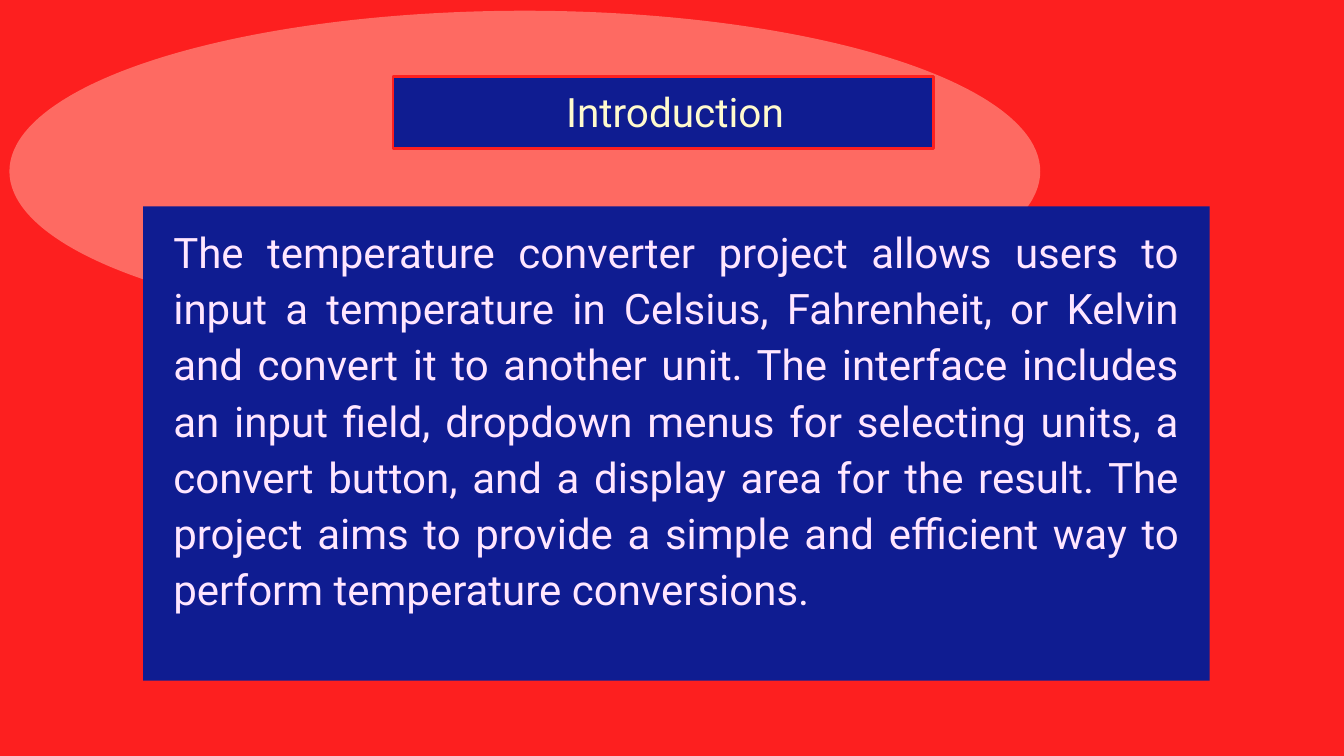
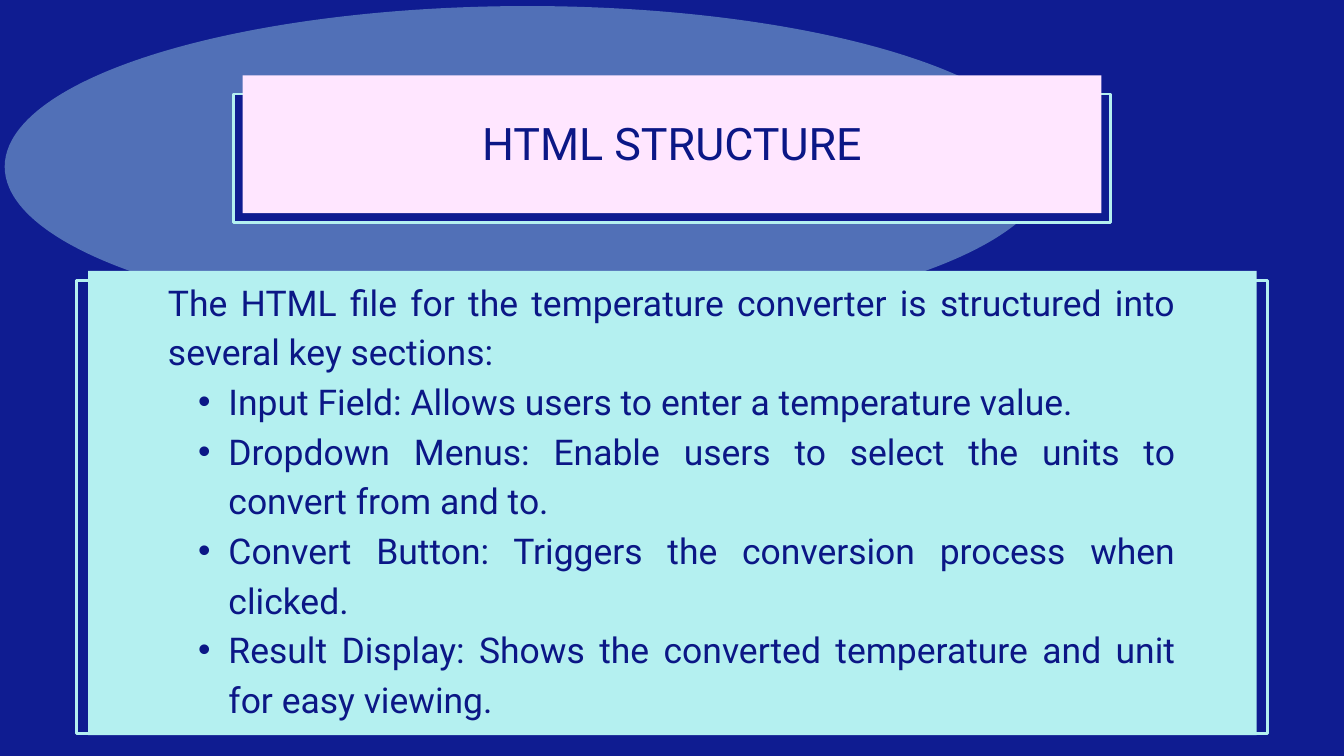
"""Build two slides that introduce a temperature converter and its HTML structure."""
from pptx import Presentation
from pptx.dml.color import RGBColor
from pptx.enum.shapes import MSO_SHAPE
from pptx.enum.text import PP_ALIGN
from pptx.oxml.ns import qn
from pptx.oxml.xmlchemy import OxmlElement
from pptx.util import Emu, Pt

RED = RGBColor(0xFD, 0x1F, 0x1F)
CORAL = RGBColor(0xFF, 0x87, 0x7D)
NAVY = RGBColor(0x0F, 0x1C, 0x91)
INK = RGBColor(0x0B, 0x17, 0x86)
AQUA = RGBColor(0xB4, 0xF0, 0xF0)
PINK = RGBColor(0xFF, 0xE6, 0xFF)
CREAM = RGBColor(0xFF, 0xFA, 0xCD)
FONT = "Roboto"
PX = 9144
BORDER = 4
INDENT = 45


def px(n):
    return Emu(n * PX)


class Deck:
    def __init__(self, width, height):
        self.prs = Presentation()
        self.prs.slide_width, self.prs.slide_height = px(width), px(height)
        self.s = None

    def slide(self, color):
        self.s = self.prs.slides.add_slide(self.prs.slide_layouts[6])
        fill = self.s.background.fill
        fill.solid()
        fill.fore_color.rgb = color

    def shape(self, x, y, w, h, fill, line=None, kind=MSO_SHAPE.RECTANGLE):
        sp = self.s.shapes.add_shape(kind, px(x), px(y), px(w), px(h))
        sp.shadow.inherit = False
        sp.fill.solid()
        sp.fill.fore_color.rgb = fill
        if line is None:
            sp.line.fill.background()
        else:
            sp.line.color.rgb = line
            sp.line.width = px(BORDER)
        return sp

    def ellipse(self, x, y, w, h, fill, opacity):
        sp = self.shape(x, y, w, h, fill, kind=MSO_SHAPE.OVAL)
        alpha = OxmlElement("a:alpha")
        alpha.set("val", str(opacity * 1000))
        sp._element.spPr.find(qn("a:solidFill"))[0].append(alpha)

    def bullet(self, p):
        pPr = p._p.get_or_add_pPr()
        pPr.set("marL", str(px(2 * INDENT)))
        pPr.set("indent", str(px(-INDENT)))
        for tag, name, value in (("a:buFont", "typeface", "Arial"), ("a:buChar", "char", "•")):
            el = OxmlElement(tag)
            el.set(name, value)
            pPr.append(el)

    def text(self, text, x, y, w, h, *, size, color, align, leading, bullets=()):
        tf = self.s.shapes.add_textbox(px(x), px(y), px(w), px(h)).text_frame
        tf.word_wrap = True
        tf.margin_left = tf.margin_right = tf.margin_top = tf.margin_bottom = 0
        for i, line in enumerate((text, *bullets)):
            p = tf.add_paragraph() if i else tf.paragraphs[0]
            if i:
                p.level = 1
                self.bullet(p)
            p.alignment = align
            p.line_spacing = Pt(leading)
            r = p.add_run()
            r.text = line
            r.font.name, r.font.size = FONT, Pt(size)
            r.font.color.rgb = color


def introduction(deck):
    deck.slide(RED)
    deck.ellipse(14, 16, 1534, 478, CORAL, 72)
    deck.shape(585, 114, 804, 107, NAVY, RED)
    deck.shape(213, 307, 1587, 706, NAVY)
    deck.text(
        "The temperature converter project allows users to input a temperature in Celsius, "
        "Fahrenheit, or Kelvin and convert it to another unit. The interface includes an input "
        "field, dropdown menus for selecting units, a convert button, and a display area for the "
        "result. The project aims to provide a simple and efficient way to perform temperature "
        "conversions.",
        258, 328, 1497, 749, size=45, color=PINK, align=PP_ALIGN.JUSTIFY, leading=60.3)
    deck.text("Introduction", 389, 141, 778, 63,
              size=43.4, color=CREAM, align=PP_ALIGN.RIGHT, leading=43.4)


def html_structure(deck):
    deck.slide(NAVY)
    deck.ellipse(7, 9, 1556, 478, AQUA, 40)
    deck.shape(347, 140, 1306, 191, NAVY, AQUA)
    deck.shape(361, 112, 1278, 205, PINK)
    deck.text("HTML STRUCTURE", 400, 186, 1200, 69,
              size=48, color=INK, align=PP_ALIGN.CENTER, leading=48)
    deck.shape(114, 417, 1772, 675, NAVY, AQUA)
    deck.shape(131, 403, 1739, 691, AQUA)
    deck.text(
        "The HTML file for the temperature converter is structured into several key sections:",
        250, 407, 1500, 727, size=38, color=INK, align=PP_ALIGN.JUSTIFY, leading=53.2,
        bullets=(
            "Input Field: Allows users to enter a temperature value.",
            "Dropdown Menus: Enable users to select the units to convert from and to.",
            "Convert Button: Triggers the conversion process when clicked.",
            "Result Display: Shows the converted temperature and unit for easy viewing.",
        ))


def main():
    deck = Deck(2000, 1125)
    introduction(deck)
    html_structure(deck)
    deck.prs.save("out.pptx")


if __name__ == "__main__":
    main()
